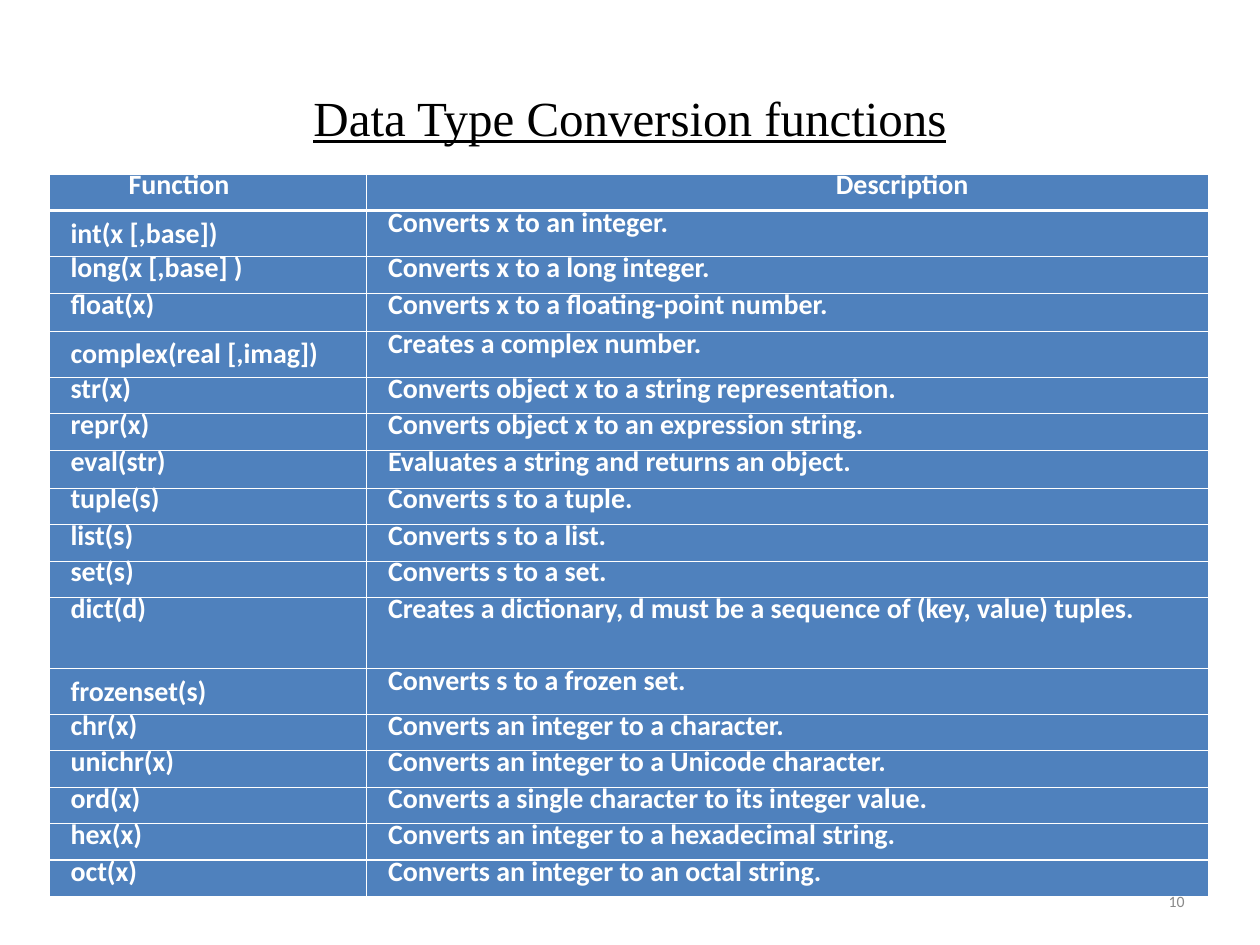
from dataclasses import dataclass
from typing import NamedTuple

from lxml import etree
from pptx import Presentation
from pptx.dml.color import RGBColor
from pptx.enum.text import MSO_ANCHOR, PP_ALIGN
from pptx.oxml.ns import qn
from pptx.util import Inches, Pt

LEFT, CENTER, RIGHT = PP_ALIGN.LEFT, PP_ALIGN.CENTER, PP_ALIGN.RIGHT
MIDDLE = MSO_ANCHOR.MIDDLE


@dataclass(frozen=True)
class Theme:
    ink: str = "000000"
    light: str = "FFFFFF"
    cell: str = "4F81BD"
    muted: str = "898989"
    title_font: str = "Times New Roman"
    body_font: str = "Calibri"
    title_size: float = 28
    table_size: float = 16
    number_size: float = 9
    thin_line: float = 0.45
    thick_line: float = 1.47


class Box(NamedTuple):
    left: float
    top: float
    width: float
    height: float


class Conversion(NamedTuple):
    function: str
    description: str
    height: float = 0.29
    spacing: float = 12.7
    space_before: float | None = None  # replaces exact spacing in the function cell


THEME = Theme()
TITLE_BOX = Box(0.5, 0.3, 9, 1.25)
TABLE_BOX = Box(0.39, 1.38, 9.2, 5.64)
NUMBER_BOX = Box(7.17, 6.95, 2.33, 0.4)
COLUMN_WIDTHS = (2.52, 6.68)
HEADER_INDENTS = (0.53, 1.82)
BODY_INDENT = 0.07

ROWS = (
    Conversion("Function", "Description"),
    Conversion("int(x [,base])", "Converts x to an integer.", 0.34, 13.5, 0.6),
    Conversion("long(x [,base] )", "Converts x to a long integer."),
    Conversion("float(x)", "Converts x to a floating-point number.", 0.3, 13),
    Conversion("complex(real [,imag])", "Creates a complex number.", 0.34, 13.5, 0.5),
    Conversion("str(x)", "Converts object x to a string representation."),
    Conversion("repr(x)", "Converts object x to an expression string."),
    Conversion("eval(str)", "Evaluates a string and returns an object.", 0.3, 12.9),
    Conversion("tuple(s)", "Converts s to a tuple."),
    Conversion("list(s)", "Converts s to a list."),
    Conversion("set(s)", "Converts s to a set."),
    Conversion(
        "dict(d)",
        "Creates a dictionary, d must be a sequence of (key, value) tuples.",
        0.56,
    ),
    Conversion("frozenset(s)", "Converts s to a frozen set.", 0.34, 13.5, 0.6),
    Conversion("chr(x)", "Converts an integer to a character."),
    Conversion("unichr(x)", "Converts an integer to a Unicode character."),
    Conversion("ord(x)", "Converts a single character to its integer value."),
    Conversion("hex(x)", "Converts an integer to a hexadecimal string."),
    Conversion("oct(x)", "Converts an integer to an octal string."),
)
THICK_BOUNDARIES = {1, len(ROWS) - 1}

TITLE_FORMAT = {
    "name": THEME.title_font, "size": Pt(THEME.title_size), "underline": True,
}
TABLE_FORMAT = {
    "name": THEME.body_font, "size": Pt(THEME.table_size), "bold": True,
}
NUMBER_FORMAT = {"name": THEME.body_font, "size": Pt(THEME.number_size)}


def write(paragraph, text: str, font_format: dict, color: str, align=LEFT) -> None:
    paragraph.alignment = align
    run = paragraph.add_run()
    run.text = text
    for attribute, value in font_format.items():
        setattr(run.font, attribute, value)
    run.font.color.rgb = RGBColor.from_string(color)


def add_text(slide, box: Box, text: str, font_format: dict, color: str, align) -> None:
    frame = slide.shapes.add_textbox(*map(Inches, box)).text_frame
    frame.word_wrap = True
    frame.vertical_anchor = MIDDLE
    write(frame.paragraphs[0], text, font_format, color, align)


def add_borders(cell, row: int) -> None:
    """Draw thin cell borders, thicker below the header and above the last row."""
    properties = cell._tc.get_or_add_tcPr()
    boundaries = {"lnL": None, "lnR": None, "lnT": row, "lnB": row + 1}
    for side, boundary in boundaries.items():
        thick = boundary in THICK_BOUNDARIES
        width = THEME.thick_line if thick else THEME.thin_line
        line = etree.SubElement(properties, qn(f"a:{side}"), w=str(Pt(width)))
        fill = etree.SubElement(line, qn("a:solidFill"))
        etree.SubElement(fill, qn("a:srgbClr"), val=THEME.light)


def fill_cell(cell, row: int, column: int, entry: Conversion) -> None:
    add_borders(cell, row)
    cell.fill.solid()
    cell.fill.fore_color.rgb = RGBColor.from_string(THEME.cell)
    paragraph = cell.text_frame.paragraphs[0]
    align = CENTER if (row, column) == (0, 1) else LEFT
    text = entry.description if column else entry.function
    write(paragraph, text, TABLE_FORMAT, THEME.light, align)
    indent = BODY_INDENT if row else HEADER_INDENTS[column]
    paragraph._p.get_or_add_pPr().set("marL", str(Inches(indent)))
    if column == 0 and entry.space_before is not None:
        paragraph.space_before = Pt(entry.space_before)
    else:
        paragraph.line_spacing = Pt(entry.spacing)


def add_conversion_table(slide) -> None:
    table = slide.shapes.add_table(
        len(ROWS), len(COLUMN_WIDTHS), *map(Inches, TABLE_BOX)
    ).table
    for column, width in zip(table.columns, COLUMN_WIDTHS):
        column.width = Inches(width)
    for row, entry in enumerate(ROWS):
        table.rows[row].height = Inches(entry.height)
        for column in range(len(COLUMN_WIDTHS)):
            fill_cell(table.cell(row, column), row, column, entry)


def main() -> None:
    presentation = Presentation()
    presentation.slide_width = Inches(10)
    presentation.slide_height = Inches(7.5)
    slide = presentation.slides.add_slide(presentation.slide_layouts[6])
    add_text(
        slide, TITLE_BOX, "Data Type Conversion functions",
        TITLE_FORMAT, THEME.ink, CENTER,
    )
    add_conversion_table(slide)
    add_text(slide, NUMBER_BOX, "10", NUMBER_FORMAT, THEME.muted, RIGHT)
    presentation.save("out.pptx")


if __name__ == "__main__":
    main()
